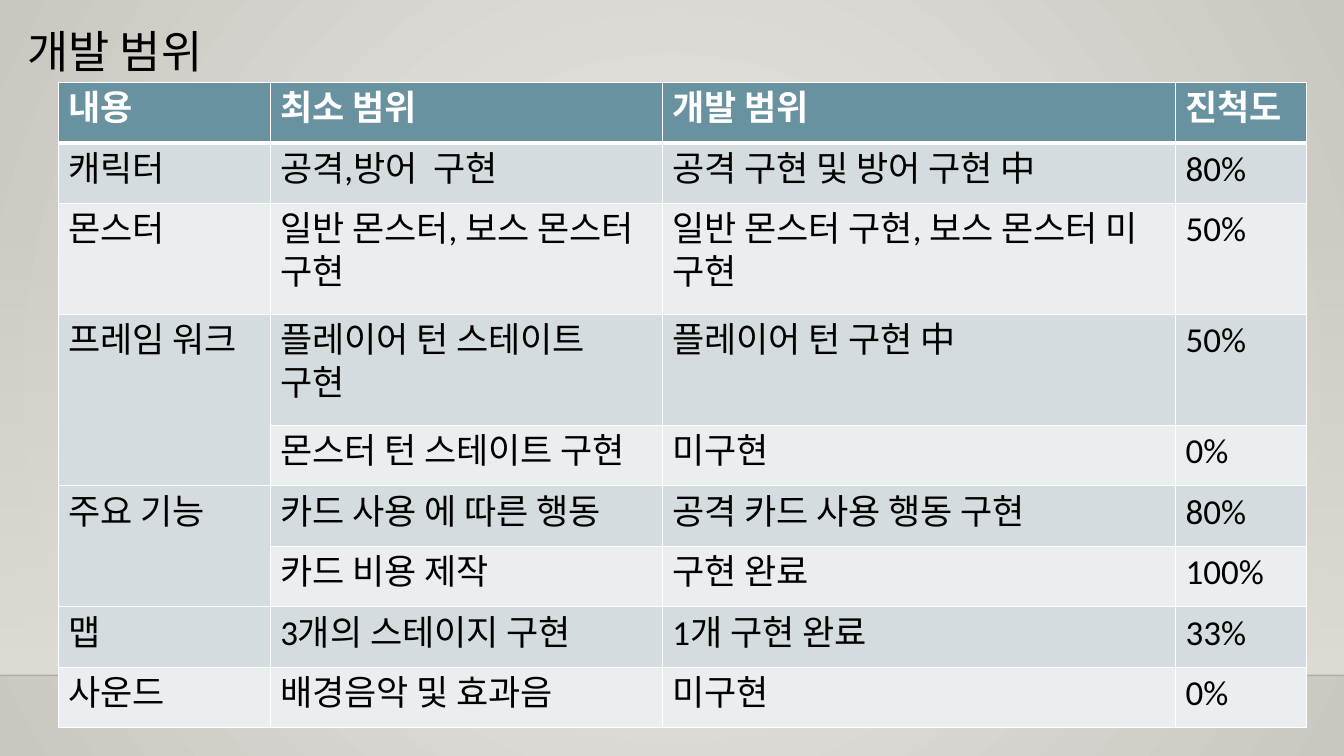
from lxml import etree
from pptx import Presentation
from pptx.dml.color import RGBColor
from pptx.enum.shapes import MSO_CONNECTOR, MSO_SHAPE
from pptx.enum.text import MSO_ANCHOR
from pptx.oxml import parse_xml
from pptx.oxml.ns import qn
from pptx.util import Inches, Pt

RECT = MSO_SHAPE.RECTANGLE
LINE = MSO_CONNECTOR.STRAIGHT
TOP = MSO_ANCHOR.TOP
WHITE = RGBColor(0xFF, 0xFF, 0xFF)
BLACK = RGBColor(0, 0, 0)
TEAL = RGBColor(0x68, 0x92, 0xA0)
DARK = RGBColor(0xD4, 0xDC, 0xDF)
PALE = RGBColor(0xEB, 0xEE, 0xF0)
FLOOR = RGBColor(0, 0, 1)
SAND = RGBColor(0xDF, 0xDB, 0xD5)
LIGHT = RGBColor(0xEC, 0xEA, 0xE7)
GREY = RGBColor(0xCA, 0xC7, 0xC1)
NS = "http://schemas.openxmlformats.org/drawingml/2006/main"


def grad(fill, first, last):
    fill.gradient()
    for stop, tone, pos in zip(fill.gradient_stops, (first, last), (0, 1)):
        stop.color.rgb = tone
        stop.position = pos


def write(para, text, size, tone, bold=False):
    run = para.add_run()
    run.text = text
    font = run.font
    font.name = "Calibri"
    font.size = Pt(size)
    font.bold = bold
    font.color.rgb = tone
    etree.SubElement(run._r.rPr, qn("a:ea"), typeface="Calibri")


deck = Presentation()
deck.slide_width = Inches(13.33)
deck.slide_height = Inches(7.5)
slide = deck.slides.add_slide(deck.slide_layouts[6])

back = slide.background.fill
grad(back, LIGHT, GREY)
node = slide._element.cSld.find(".//" + qn("a:gradFill"))
node.replace(node.find(qn("a:lin")), parse_xml(
    f'<a:path xmlns:a="{NS}" path="circle">'
    '<a:fillToRect l="50000" t="50000" r="50000" b="50000"/></a:path>'))

wall = slide.shapes.add_shape(RECT, 0, Inches(2.21), Inches(13.33), Inches(4.49))
wall.shadow.inherit = False
wall.line.fill.background()
grad(wall.fill, SAND, SAND)
node = wall._element.spPr.find(qn("a:gradFill"))
node.find(qn("a:lin")).set("ang", "5400000")
etree.SubElement(node.find(".//" + qn("a:srgbClr")), qn("a:alpha"), val="0")

edge = slide.shapes.add_connector(LINE, 0, Inches(6.7), Inches(13.33), Inches(6.7))
edge.line.color.rgb = FLOOR
edge.line.width = Pt(1)
props = edge._element.spPr
etree.SubElement(props.find(".//" + qn("a:srgbClr")), qn("a:alpha"), val="20000")
etree.SubElement(props, qn("a:effectLst"))

title = slide.shapes.add_textbox(Inches(0.17), Inches(0.25), Inches(3.26), Inches(1.15))
frame = title.text_frame
frame.word_wrap = True
frame.vertical_anchor = TOP
frame.paragraphs[0].line_spacing = 0.9
write(frame.paragraphs[0], "개발 범위", 32, BLACK)

rows = [
    ("내용", "최소 범위", "개발 범위", "진척도"),
    ("캐릭터", "공격,방어  구현", "공격 구현 및 방어 구현 中", "80%"),
    ("몬스터", "일반 몬스터, 보스 몬스터 구현", "일반 몬스터 구현, 보스 몬스터 미 구현", "50%"),
    ("프레임 워크", "플레이어 턴 스테이트 구현", "플레이어 턴 구현 中", "50%"),
    ("", "몬스터 턴 스테이트 구현", "미구현", "0%"),
    ("주요 기능", "카드 사용 에 따른 행동", "공격 카드 사용 행동 구현", "80%"),
    ("", "카드 비용 제작", "구현 완료", "100%"),
    ("맵", "3개의 스테이지 구현", "1개 구현 완료", "33%"),
    ("사운드", "배경음악 및 효과음", "미구현", "0%"),
]
wides = (2.1, 3.89, 5.09, 1.3)
highs = (0.6, 0.6, 1.1, 1.1, 0.6, 0.6, 0.6, 0.6, 0.6)
table = slide.shapes.add_table(
    len(rows), len(wides), Inches(0.58), Inches(0.82),
    Inches(sum(wides)), Inches(sum(highs))).table
for col, wide in zip(table.columns, wides):
    col.width = Inches(wide)
for row, high in zip(table.rows, highs):
    row.height = Inches(high)
for top in (3, 5):
    table.cell(top, 0).merge(table.cell(top + 1, 0))

for r, row in enumerate(rows):
    head = r == 0
    for c, text in enumerate(row):
        cell = table.cell(r, c)
        if text:
            write(cell.text_frame.paragraphs[0], text, 25, WHITE if head else BLACK, head)
        props = cell._tc.get_or_add_tcPr()
        for side in "LRTB":
            thick = (head and side == "B") or (r == 1 and side == "T")
            props.append(parse_xml(
                f'<a:ln{side} xmlns:a="{NS}" w="{Pt(3 if thick else 1)}">'
                f'<a:solidFill><a:srgbClr val="{WHITE}"/></a:solidFill></a:ln{side}>'))
        cell.fill.solid()
        cell.fill.fore_color.rgb = TEAL if head else DARK if r % 2 else PALE

deck.save("out.pptx")
